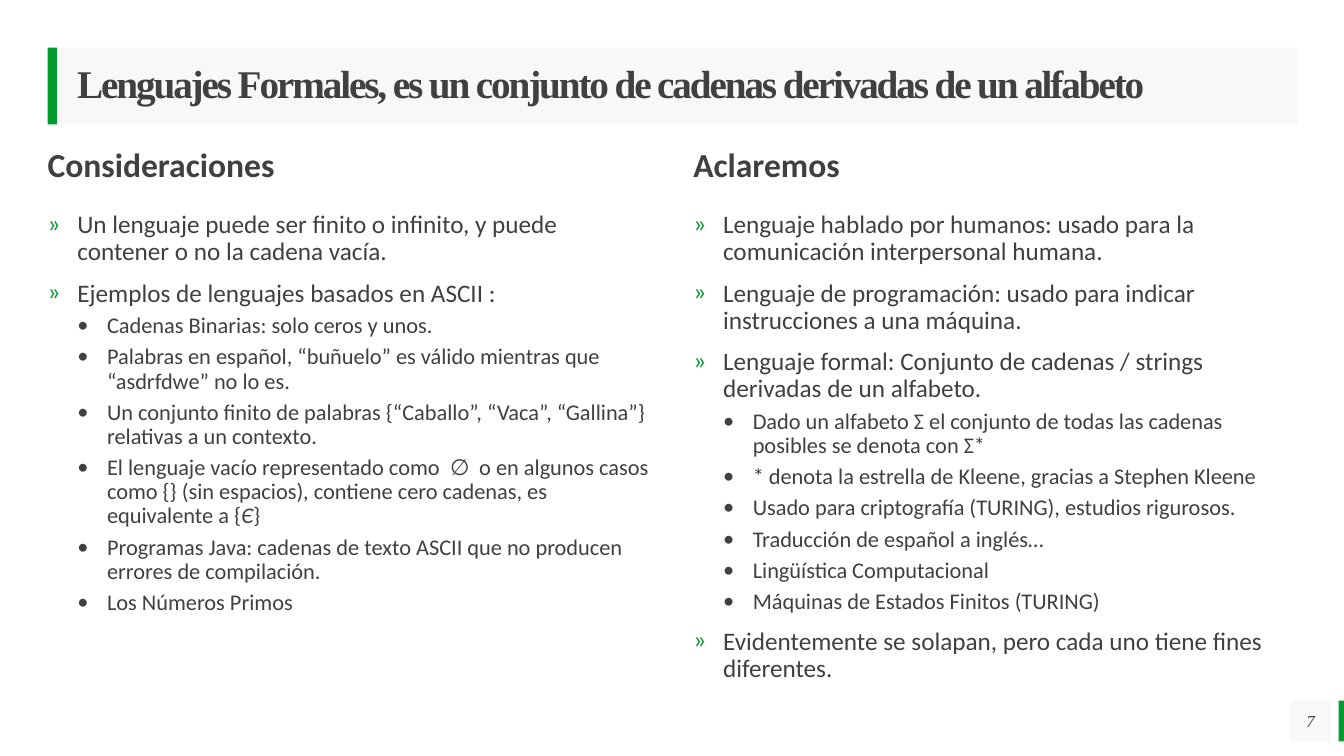
from lxml.etree import SubElement
from pptx import Presentation
from pptx.dml.color import RGBColor
from pptx.enum.shapes import MSO_SHAPE as Shape
from pptx.enum.text import MSO_ANCHOR as Anchor, PP_ALIGN as Align
from pptx.oxml.ns import qn
from pptx.util import Pt

GREEN = RGBColor(0x02, 0x9B, 0x2D)
DARK = RGBColor(0x40, 0x40, 0x40)
PALE = RGBColor(0xF2, 0xF2, 0xF2)
SERIF, SANS = "Times New Roman", "Calibri"
LINE_SPACING = 0.9
INDENT = 21.25
BULLETS = (("»", 18, 10, GREEN), ("•", 16, 5, DARK))

CONSIDERATIONS = (
    (0, "Un lenguaje puede ser finito o infinito, y puede contener o no la cadena vacía."),
    (0, "Ejemplos de lenguajes basados en ASCII :"),
    (1, "Cadenas Binarias: solo ceros y unos."),
    (1, "Palabras en español, “buñuelo” es válido mientras que “asdrfdwe” no lo es."),
    (1, "Un conjunto finito de palabras {“Caballo”, “Vaca”, “Gallina”} relativas a un contexto."),
    (1, "El lenguaje vacío representado como  ∅  o en algunos casos como {} (sin espacios), "
        "contiene cero cadenas, es equivalente a {Є}"),
    (1, "Programas Java: cadenas de texto ASCII que no producen errores de compilación."),
    (1, "Los Números Primos"),
)
CLARIFICATIONS = (
    (0, "Lenguaje hablado por humanos: usado para la comunicación interpersonal humana."),
    (0, "Lenguaje de programación: usado para indicar instrucciones a una máquina."),
    (0, "Lenguaje formal: Conjunto de cadenas / strings derivadas de un alfabeto."),
    (1, "Dado un alfabeto Σ el conjunto de todas las cadenas posibles se denota con Σ*"),
    (1, "* denota la estrella de Kleene, gracias a Stephen Kleene"),
    (1, "Usado para criptografía (TURING), estudios rigurosos."),
    (1, "Traducción de español a inglés…"),
    (1, "Lingüística Computacional"),
    (1, "Máquinas de Estados Finitos (TURING)"),
    (0, "Evidentemente se solapan, pero cada uno tiene fines diferentes."),
)


def set_font(paragraph, name, size, bold=False, italic=False):
    font = paragraph.font
    font.name, font.size = name, Pt(size)
    font.bold, font.italic = bold, italic
    font.color.rgb = DARK


def prepare_frame(shape, left_inset=0):
    frame = shape.text_frame
    frame.word_wrap = True
    frame.margin_left = Pt(left_inset)
    frame.margin_top = frame.margin_right = frame.margin_bottom = 0
    return frame


def add_rectangle(slide, left, top, width, height, color, alpha=None):
    shape = slide.shapes.add_shape(Shape.RECTANGLE, Pt(left), Pt(top), Pt(width), Pt(height))
    shape.shadow.inherit = False
    shape.fill.solid()
    shape.fill.fore_color.rgb = color
    shape.line.fill.background()
    if alpha is not None:
        color_element = shape.fill._xPr.find(qn("a:solidFill"))[0]
        SubElement(color_element, qn("a:alpha"), val=str(alpha * 1000))
    return shape


def add_text_frame(slide, left, top, width, height):
    return prepare_frame(slide.shapes.add_textbox(Pt(left), Pt(top), Pt(width), Pt(height)))


def add_title(slide, left, top, width, height, text):
    bar_width = 6.75
    add_rectangle(slide, left, top, bar_width, height, GREEN)
    panel = add_rectangle(slide, left + bar_width, top, width - bar_width, height, PALE, alpha=50)
    frame = prepare_frame(panel, left_inset=14.4)
    frame.vertical_anchor = Anchor.MIDDLE
    paragraph = frame.paragraphs[0]
    paragraph.alignment = Align.LEFT
    paragraph.line_spacing = LINE_SPACING
    set_font(paragraph, SERIF, 28, bold=True)
    run = paragraph.add_run()
    run.text = text
    run._r.get_or_add_rPr().set("spc", "-150")


def format_bullet(paragraph, level):
    character, size, space_before, color = BULLETS[level]
    paragraph.level = level
    paragraph.line_spacing = LINE_SPACING
    paragraph.space_before = Pt(space_before)
    properties = paragraph._p.get_or_add_pPr()
    properties.set("marL", str(Pt(INDENT * (level + 1))))
    properties.set("indent", str(-Pt(INDENT)))
    bullet_color = SubElement(properties, qn("a:buClr"))
    SubElement(bullet_color, qn("a:srgbClr"), val=str(color))
    SubElement(properties, qn("a:buFont"), typeface=SANS)
    SubElement(properties, qn("a:buChar"), char=character)
    set_font(paragraph, SANS, size)


def add_column(slide, left, top, width, height, heading, items):
    heading_height, body_offset = 28, 45.25
    paragraph = add_text_frame(slide, left, top, width, heading_height).paragraphs[0]
    paragraph.text = heading
    paragraph.line_spacing = LINE_SPACING
    set_font(paragraph, SANS, 24, bold=True)

    frame = add_text_frame(slide, left, top + body_offset, width, height - body_offset)
    for index, (level, text) in enumerate(items):
        paragraph = frame.add_paragraph() if index else frame.paragraphs[0]
        format_bullet(paragraph, level)
        if index == 0:
            paragraph.space_before = Pt(0)
        before, symbol, after = text.partition("Є")
        for part in filter(None, (before, symbol, after)):
            run = paragraph.add_run()
            run.text = part
            if part == symbol:
                run.font.italic = True


def add_page_number(slide, left, top, width, height, number):
    bar_width, number_width = 3.75, 29.25
    add_rectangle(slide, left + width - bar_width, top, bar_width, height, GREEN)
    panel = add_rectangle(slide, left, top, number_width, height, PALE, alpha=50)
    frame = prepare_frame(panel)
    frame.vertical_anchor = Anchor.MIDDLE
    paragraph = frame.paragraphs[0]
    paragraph.text = number
    paragraph.alignment = Align.CENTER
    set_font(paragraph, SERIF, 12, italic=True)


def main():
    presentation = Presentation()
    presentation.slide_width, presentation.slide_height = Pt(960), Pt(540)
    slide = presentation.slides.add_slide(presentation.slide_layouts[6])
    add_title(slide, 34, 34, 893, 55,
              "Lenguajes Formales, es un conjunto de cadenas derivadas de un alfabeto")
    add_column(slide, 34, 106, 430.5, 375.75, "Consideraciones", CONSIDERATIONS)
    add_column(slide, 495.25, 106, 432, 375.75, "Aclaremos", CLARIFICATIONS)
    add_page_number(slide, 921.5, 500.5, 38.5, 29, "7")
    presentation.save("out.pptx")


if __name__ == "__main__":
    main()
